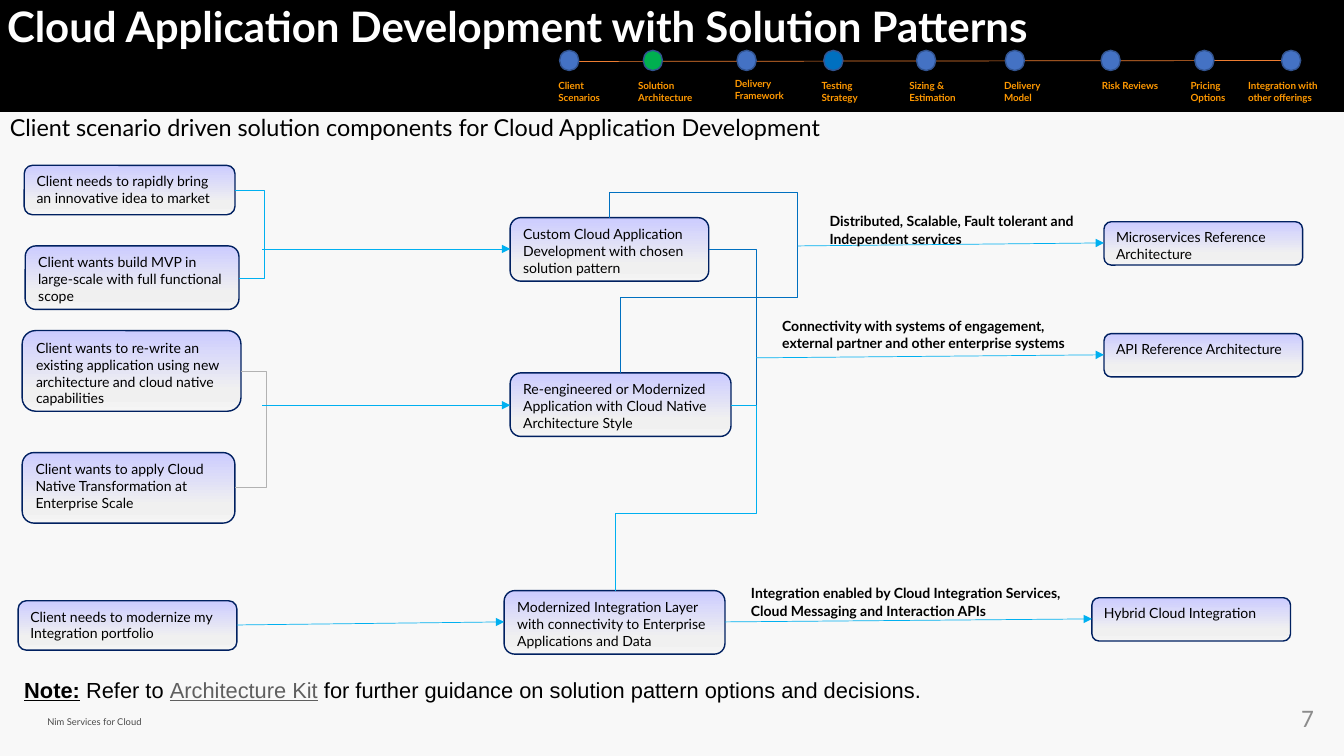
import dataclasses

import pptx
import pptx.dml.color
import pptx.enum.shapes
import pptx.enum.text
import pptx.oxml
import pptx.oxml.ns
import pptx.util

PX = 9144  # 100 px to the inch
SHAPE = pptx.enum.shapes.MSO_SHAPE
CONNECTOR = pptx.enum.shapes.MSO_CONNECTOR
ANCHOR = pptx.enum.text.MSO_ANCHOR
ALIGN = pptx.enum.text.PP_ALIGN
RGB = pptx.dml.color.RGBColor.from_string


@dataclasses.dataclass(frozen=True)
class Theme:
    font: str = "Lato"
    note_font: str = "Arial"
    number_font: str = "Calibri"
    background: str = "F8F8F8"
    black: str = "000000"
    white: str = "FFFFFF"
    footer: str = "4A4A4A"
    number: str = "8C8C8C"
    link: str = "5F5F5F"
    box_line: str = "002060"
    flow: str = "00B0F0"
    link_line: str = "0070C0"
    grey_line: str = "B2B2B2"
    track: str = "ED7D31"
    milestone: str = "FF9900"
    dot: str = "4472C4"
    dot_line: str = "325491"
    dot_green: str = "00B050"
    dot_blue: str = "0070C0"
    title_size: float = 30
    subtitle_size: float = 16.7
    note_size: float = 15.6
    number_size: float = 18
    body_size: float = 10
    milestone_size: float = 7
    footer_size: float = 6.7


THEME = Theme()
BOX_STOPS = ((0, "CCCCFF"), (74, "F0F0F0"), (83, "F0F0F0"), (100, "F5F5F5"))


def write(shape, text, size, color, bold=False, spacing=1.0, insets=(10, 5, 10, 5),
          font=THEME.font, align=ALIGN.LEFT, anchor=ANCHOR.TOP):
    frame = shape.text_frame
    frame.text = text
    frame.word_wrap = True
    frame.auto_size = pptx.enum.text.MSO_AUTO_SIZE.NONE
    frame.vertical_anchor = anchor
    (frame.margin_left, frame.margin_top,
     frame.margin_right, frame.margin_bottom) = (inset * PX for inset in insets)
    paragraph = frame.paragraphs[0]
    paragraph.alignment = align
    paragraph.line_spacing = spacing
    paragraph.space_before = pptx.util.Pt(0)
    for run in paragraph.runs:
        run.font.name = font
        run.font.size = pptx.util.Pt(size)
        run.font.bold = bold
        run.font.color.rgb = RGB(color)


def connect(start, end, color, arrow=False, bends=(), vertical=False):
    """Join two points; bends are the x and y (y and x if vertical) of the turns in order."""
    (x1, y1), (x2, y2) = start, end
    if vertical:
        # The elbow is laid out sideways about its centre, then turned.
        middle_x, middle_y = (x1 + x2) / 2, (y1 + y2) / 2
        half_width, half_height = (y2 - y1) / 2, (x2 - x1) / 2
        x1, x2 = middle_x + half_width, middle_x - half_width
        y1, y2 = middle_y - half_height, middle_y + half_height
    connector = slide.shapes.add_connector(
        CONNECTOR.ELBOW if bends else CONNECTOR.STRAIGHT,
        *(round(value * PX) for value in (x1, y1, x2, y2)))
    properties = connector.element.spPr
    if vertical:
        properties.find(pptx.oxml.ns.qn("a:xfrm")).set("rot", "16200000")
    if bends:
        geometry = properties.find(pptx.oxml.ns.qn("a:prstGeom"))
        geometry.set("prst", f"bentConnector{len(bends) + 2}")
        guides = geometry.find(pptx.oxml.ns.qn("a:avLst"))
        for index, bend in enumerate(bends):
            axis = (index + vertical) % 2
            ratio = (bend - start[axis]) / (end[axis] - start[axis])
            guide = guides.makeelement(pptx.oxml.ns.qn("a:gd"), {
                "name": f"adj{index + 1}", "fmla": f"val {round(ratio * 100000)}"})
            guides.append(guide)
    connector.line.color.rgb = RGB(color)
    connector.line.width = pptx.util.Pt(0.5)
    if arrow:
        line = properties.find(pptx.oxml.ns.qn("a:ln"))
        line.append(line.makeelement(pptx.oxml.ns.qn("a:tailEnd"), {"type": "triangle"}))
    properties.append(properties.makeelement(pptx.oxml.ns.qn("a:effectLst"), {}))


presentation = pptx.Presentation()
presentation.slide_width = 1333 * PX
presentation.slide_height = 750 * PX
slide = presentation.slides.add_slide(presentation.slide_layouts[5])
slide.background.fill.solid()
slide.background.fill.fore_color.rgb = RGB(THEME.background)

# Title band
title = slide.shapes.title
title.left, title.top, title.width, title.height = (v * PX for v in (7, 6, 1250, 104))
write(title, "Cloud Application Development with Solution Patterns", THEME.title_size,
      THEME.white, bold=True, spacing=0.9, insets=(0, 0, 0, 0))
band = slide.shapes.add_shape(SHAPE.RECTANGLE, 0, 0, 1333 * PX, 111 * PX)
band.shadow.inherit = False
band.fill.solid()
band.fill.fore_color.rgb = RGB(THEME.black)
band.line.fill.background()
title.element.addprevious(band.element)

# Plain texts
subtitle = slide.shapes.add_textbox(0, 106 * PX, 1193 * PX, 35 * PX)
write(subtitle, "Client scenario driven solution components for Cloud Application Development",
      THEME.subtitle_size, THEME.black, spacing=1.05)
number = slide.shapes.add_textbox(1013 * PX, 692 * PX, 300 * PX, 40 * PX)
write(number, "7", THEME.number_size, THEME.number, font=THEME.number_font, align=ALIGN.RIGHT)
footer = slide.shapes.add_textbox(47 * PX, 680 * PX, 600 * PX, 42 * PX)
write(footer, "Nim Services for Cloud", THEME.footer_size, THEME.footer, spacing=1.05,
      insets=(0, 0, 0, 0), anchor=ANCHOR.BOTTOM)

# Scenario, solution and reference boxes
boxes = (
    (24, 164, 209, 49, "Client needs to rapidly bring an innovative idea to market"),
    (25, 244, 212, 63, "Client wants build MVP in large-scale with full functional scope"),
    (22, 328, 217, 80, "Client wants to re-write an existing application using new "
                       "architecture and cloud native capabilities"),
    (22, 449, 211, 70, "Client wants to apply Cloud Native Transformation at Enterprise Scale"),
    (18, 596, 217, 49, "Client needs to modernize my Integration portfolio"),
    (506, 216, 197, 63, "Custom Cloud Application Development with chosen solution pattern"),
    (506, 370, 219, 63, "Re-engineered or Modernized Application with Cloud Native "
                        "Architecture Style"),
    (500, 586, 219, 63, "Modernized Integration Layer with connectivity to Enterprise "
                        "Applications and Data"),
    (1095, 220, 197, 43, "Microservices Reference Architecture"),
    (1095, 331, 197, 43, "API Reference Architecture"),
    (1083, 593, 197, 43, "Hybrid Cloud Integration"),
)
stops = "".join(f'<a:gs pos="{position * 1000}"><a:srgbClr val="{color}"/></a:gs>'
                for position, color in BOX_STOPS)
for left, top, width, height, text in boxes:
    box = slide.shapes.add_shape(SHAPE.ROUNDED_RECTANGLE,
                                 left * PX, top * PX, width * PX, height * PX)
    box.shadow.inherit = False
    box.fill.gradient()
    properties = box.element.spPr
    properties.replace(properties.find(pptx.oxml.ns.qn("a:gradFill")), pptx.oxml.parse_xml(
        f'<a:gradFill {pptx.oxml.ns.nsdecls("a")} rotWithShape="1"><a:gsLst>{stops}</a:gsLst>'
        '<a:lin ang="5400000" scaled="0"/></a:gradFill>'))
    box.line.color.rgb = RGB(THEME.box_line)
    box.line.width = pptx.util.Pt(1)
    write(box, text, THEME.body_size, THEME.black)

# Elbows between boxes
connect((703, 247), (725, 402), THEME.link_line, bends=(750,))
connect((604, 216), (615, 370), THEME.link_line, bends=(191, 791, 295), vertical=True)
connect((233, 189), (237, 276), THEME.flow, bends=(262,))
connect((239, 368), (233, 484), THEME.grey_line, bends=(264,))
connect((725, 402), (610, 586), THEME.flow, bends=(750, 509))

# Arrows
for start, end in (
    ((260, 247), (506, 247)), ((260, 402), (506, 402)), ((235, 620), (500, 617)),
    ((791, 244), (1095, 241)), ((750, 355), (1095, 352)), ((719, 617), (1083, 614)),
):
    connect(start, end, THEME.flow, arrow=True)

# Arrow captions
for left, top, width, height, text in (
    (813, 205, 282, 41, "Distributed, Scalable, Fault tolerant and Independent services"),
    (766, 309, 333, 39, "Connectivity with systems of engagement, external partner and other "
                        "enterprise systems"),
    (735, 574, 348, 39, "Integration enabled by Cloud Integration Services, Cloud Messaging "
                        "and Interaction APIs"),
):
    caption = slide.shapes.add_textbox(left * PX, top * PX, width * PX, height * PX)
    write(caption, text, THEME.body_size, THEME.black, bold=True, spacing=1.05)

# Milestone track: dot left, dot colour, label left, top, width, text
connect((555, 61), (1284, 60), THEME.track)
for dot_left, color, left, top, width, text in (
    (555, THEME.dot, 544, 74, 76, "Client Scenarios"),
    (638, THEME.dot_green, 623, 74, 82, "Solution Architecture"),
    (731, THEME.dot, 719, 72, 94, "Delivery Framework"),
    (817, THEME.dot_blue, 805, 74, 66, "Testing Strategy"),
    (909, THEME.dot, 892, 74, 94, "Sizing & Estimation"),
    (997, THEME.dot, 986, 74, 76, "Delivery Model"),
    (1092, THEME.dot, 1083, 74, 76, "Risk Reviews"),
    (1185, THEME.dot, 1171, 74, 76, "Pricing Options"),
    (1271, THEME.dot, 1228, 74, 99, "Integration with other offerings"),
):
    dot = slide.shapes.add_shape(SHAPE.OVAL, dot_left * PX, 50 * PX, 19 * PX, 20 * PX)
    dot.shadow.inherit = False
    dot.fill.solid()
    dot.fill.fore_color.rgb = RGB(color)
    dot.line.color.rgb = RGB(THEME.dot_line)
    dot.line.width = pptx.util.Pt(1)
    label = slide.shapes.add_textbox(left * PX, top * PX, width * PX, 34 * PX)
    write(label, text, THEME.milestone_size, THEME.milestone, bold=True)

# Note
note = slide.shapes.add_textbox(24 * PX, 671 * PX, 1058 * PX, 27 * PX)
write(note, "Note:", THEME.note_size, THEME.black, bold=True, spacing=0.8,
      insets=(0, 5, 0, 0), font=THEME.note_font)
paragraph = note.text_frame.paragraphs[0]
paragraph.runs[0].font.underline = True
for text, color, underline in (
    (" Refer to ", THEME.black, False),
    ("Architecture Kit", THEME.link, True),
    (" for further guidance on solution pattern options and decisions.", THEME.black, False),
):
    run = paragraph.add_run()
    run.text = text
    run.font.name = THEME.note_font
    run.font.size = pptx.util.Pt(THEME.note_size)
    run.font.color.rgb = RGB(color)
    run.font.underline = underline

presentation.save("out.pptx")
